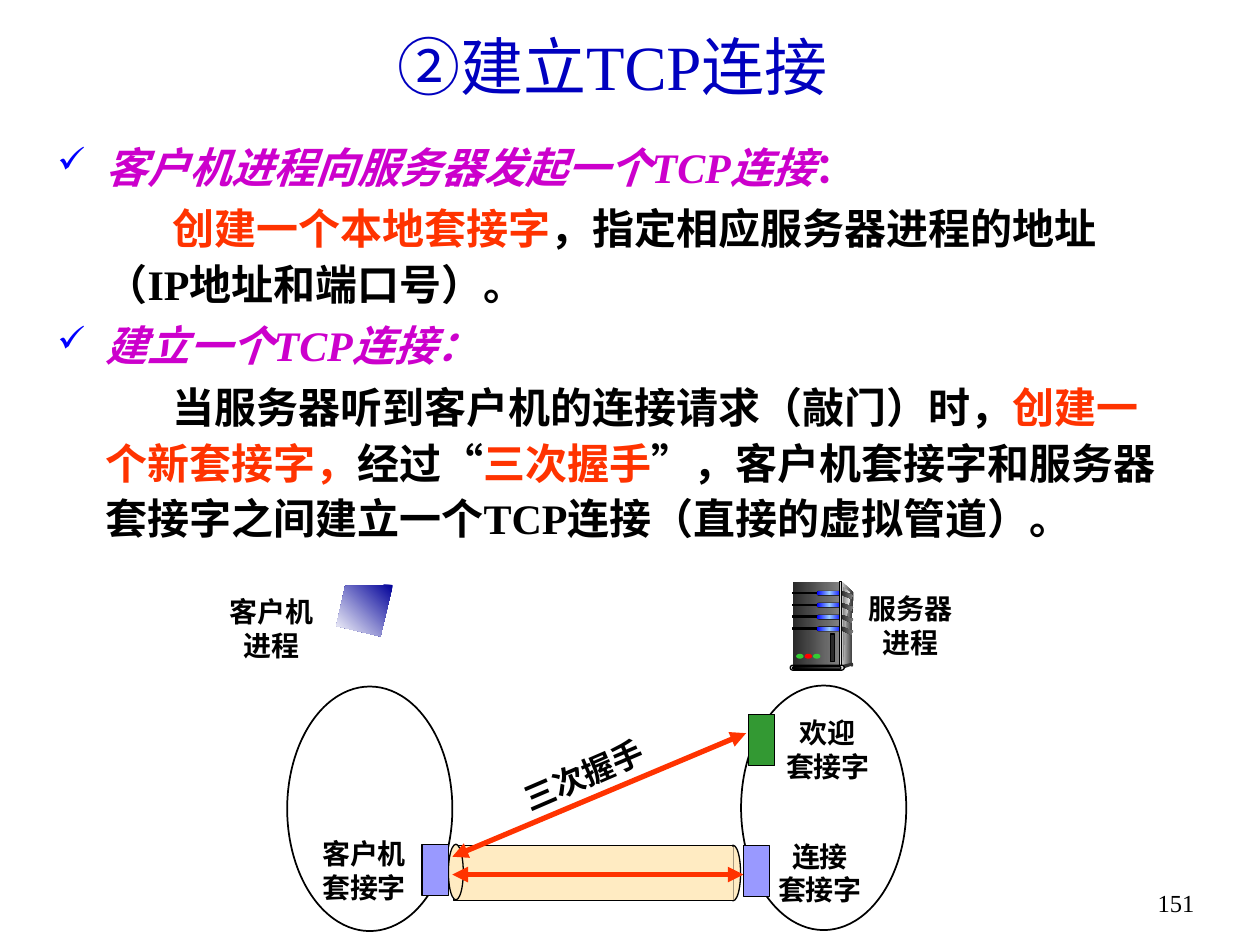
from lxml.etree import SubElement as Sub
from pptx import Presentation
from pptx.dml.color import RGBColor
from pptx.enum.shapes import MSO_CONNECTOR as Link, MSO_SHAPE as Kind
from pptx.enum.text import MSO_ANCHOR as Anchor, PP_ALIGN as Align
from pptx.oxml.ns import qn
from pptx.util import Cm, Pt

SANS = "Noto Sans CJK SC"
SERIF = "Times New Roman"
BLACK, ORANGE, PINK = "000000", "FF3300", "CC00CC"
GLOW = ("0000FF", "99CCFF", "0000FF")
STEEL = ("292929", "808080")


def tint(code):
    return RGBColor.from_string(code)


class Pen:
    def __init__(self, slide):
        self.slide = slide
        self.shapes = slide.shapes

    def paint(self, shape, fill, line, angle=0):
        shape.shadow.inherit = False
        if fill is None:
            shape.fill.background()
        elif isinstance(fill, str):
            shape.fill.solid()
            shape.fill.fore_color.rgb = tint(fill)
        else:
            self.blend(shape.fill, fill, angle)
        if line:
            shape.line.color.rgb = tint(BLACK)
            shape.line.width = Pt(line)
        else:
            shape.line.fill.background()

    def blend(self, fill, codes, angle):
        fill.gradient()
        fill.gradient_angle = angle
        stops = fill._xPr.find(qn("a:gradFill")).find(qn("a:gsLst"))
        for old in list(stops):
            stops.remove(old)
        for i, code in enumerate(codes):
            stop = Sub(stops, qn("a:gs"), pos=str(100000 * i // (len(codes) - 1)))
            Sub(stop, qn("a:srgbClr"), val=code)

    def shape(self, kind, x, y, w, h, fill=None, line=0):
        item = self.shapes.add_shape(kind, Cm(x), Cm(y), Cm(w), Cm(h))
        if kind == Kind.ROUNDED_RECTANGLE:
            item.adjustments[0] = 0.5
        self.paint(item, fill, line)

    def rect(self, *args):
        self.shape(Kind.RECTANGLE, *args)

    def oval(self, *args):
        self.shape(Kind.OVAL, *args)

    def pill(self, *args):
        self.shape(Kind.ROUNDED_RECTANGLE, *args)

    def outline(self, points, fill, angle=0):
        spots = [(Cm(x), Cm(y)) for x, y in points]
        maker = self.shapes.build_freeform(*spots[0])
        maker.add_line_segments(spots[1:], close=True)
        self.paint(maker.convert_to_shape(), fill, 0, angle)

    def arrow(self, x1, y1, x2, y2):
        item = self.shapes.add_connector(Link.STRAIGHT, Cm(x1), Cm(y1), Cm(x2), Cm(y2))
        item.line.color.rgb = tint(ORANGE)
        item.line.width = Pt(3)
        props = item._element.spPr
        for end in ("a:headEnd", "a:tailEnd"):
            Sub(props.find(qn("a:ln")), qn(end), type="triangle")
        Sub(props, qn("a:effectLst"))

    def box(self, x, y, w, h):
        item = self.shapes.add_textbox(Cm(x), Cm(y), Cm(w), Cm(h))
        item.text_frame.word_wrap = True
        return item

    def style(self, para, face, size, color=None, bold=False):
        font = para.font
        font.name, font.size, font.bold = face, Pt(size), bold
        if color:
            font.color.rgb = tint(color)
        Sub(para._p.pPr.find(qn("a:defRPr")), qn("a:ea"), typeface=SANS)

    def text(self, x, y, w, h, lines, face=SANS, size=16, color=BLACK,
             bold=True, align=Align.CENTER, anchor=Anchor.TOP, turn=0):
        item = self.box(x, y, w, h)
        item.rotation = turn
        frame = item.text_frame
        frame.vertical_anchor = anchor
        frame.text = lines
        for para in frame.paragraphs:
            para.alignment = align
            self.style(para, face, size, color, bold)

    def label(self, x, y, lines):
        self.text(x, y, 2.74, 1.63, lines)

    def body(self, x, y, w, h, paras):
        frame = self.box(x, y, w, h).text_frame
        for i, (mark, runs) in enumerate(paras):
            para = frame.add_paragraph() if i else frame.paragraphs[0]
            para.line_spacing = 1.1
            if i:
                para.space_before = Pt(3.6)
            props = para._p.get_or_add_pPr()
            props.set("marL", str(Cm(0.97)))
            props.set("indent", str(Cm(-0.97 if mark else 1.35)))
            if mark:
                Sub(Sub(props, qn("a:buClr")), qn("a:srgbClr"), val="0000FF")
                Sub(props, qn("a:buSzPct"), val="85000")
                Sub(props, qn("a:buChar"), char=mark)
            self.style(para, SERIF, 24, bold=True)
            for words, color, slant in runs:
                run = para.add_run()
                run.text = words
                run.font.color.rgb = tint(color)
                run.font.italic = slant


def tower(pen):
    pen.outline([(16.97, 11.73), (17.2, 11.94), (17.17, 13.36), (16.94, 13.44)],
                ("DDDDDD", "333333"))
    pen.rect(15.98, 11.73, 0.94, 1.7, STEEL)
    pen.outline([(16.99, 11.84), (17.15, 11.96), (17.06, 12.45), (17.02, 12.92),
                 (16.99, 13.39)], ("808080", "F8F8F8"))
    for i in range(4):
        y = 11.91 + 0.24 * i
        pen.rect(15.98, y + 0.03, 0.53, 0.03, BLACK, 0.75)
        pen.pill(16.46, y, 0.53, 0.1, BLACK)
        pen.pill(16.47, y + 0.01, 0.5, 0.08, GLOW)
        pen.outline([(16.96, y), (17.2, y + 0.09), (17.18, y + 0.17),
                     (16.96, y + 0.08)], STEEL)
    pen.rect(16.92, 11.73, 0.05, 1.7, ("333333", "DDDDDD", "333333"), 0.75)
    pen.oval(17.15, 13.36, 0.05, 0.08, "333333")
    pen.outline([(16.97, 13.41), (16.97, 13.49), (17.2, 13.41), (17.17, 13.36)], "333333")
    pen.pill(15.93, 13.41, 1.09, 0.1, "DDDDDD", 0.75)
    pen.pill(15.98, 13.44, 0.97, 0.05, (BLACK, "808080"), 0.75)
    for i, color in enumerate(("33CC33", "FF0000", "33CC33")):
        pen.oval(16.05 + 0.17 * i, 13.18, 0.15, 0.1, color)
    pen.rect(16.74, 12.78, 0.08, 0.56, "292929", 0.75)


def pipe(pen):
    cream = "FFEBC2"
    pen.oval(14.63, 17.04, 0.3, 1.12, cream, 0.75)
    pen.rect(9.14, 17.04, 5.64, 1.12, cream, 0.75)
    pen.oval(9.04, 17.02, 0.3, 1.12, cream, 0.75)
    pen.rect(14.61, 17.07, 0.18, 1.07, cream)


def main():
    deck = Presentation()
    deck.slide_width, deck.slide_height = Cm(25.4), Cm(19.05)
    pen = Pen(deck.slides.add_slide(deck.slide_layouts[6]))

    pipe(pen)
    pen.text(23.06, 17.78, 1.27, 1.27, "151", SERIF, 14, bold=False, align=Align.RIGHT)
    pen.text(1.55, 0.28, 21.59, 2.08, "②建立TCP连接", SERIF, 36, "0000BF",
             bold=False, anchor=Anchor.MIDDLE)
    pen.body(0.91, 2.62, 22.66, 10.46, [
        ("✓", [("客户机进程向服务器发起一个TCP连接", PINK, True), ("：", PINK, False)]),
        ("", [("创建一个本地套接字", ORANGE, False),
              ("，指定相应服务器进程的地址（IP地址和端口号）。", BLACK, False)]),
        ("✓", [("建立一个TCP连接：", PINK, True)]),
        ("", [("当服务器听到客户机的连接请求（敲门）时，", BLACK, False),
              ("创建一个新套接字，", ORANGE, False),
              ("经过“", BLACK, False),
              ("三次握手", ORANGE, False),
              ("”，客户机套接字和服务器套接字之间建立一个TCP连接（直接的虚拟管道）。",
               BLACK, False)]),
    ])
    pen.arrow(9.12, 17.27, 15.04, 14.78)
    pen.arrow(9.12, 17.63, 14.99, 17.63)
    pen.outline([(7.92, 11.79), (6.96, 11.81), (6.78, 12.62), (7.67, 12.83)],
                ("000099", "FFFFFF"), 225)
    tower(pen)

    for x, y in ((5.79, 13.84), (14.94, 13.82)):
        pen.oval(x, y, 3.33, 4.93, None, 1)
    for x, y, color in ((8.51, 17.02, "9999FF"), (14.99, 17.04, "9999FF"),
                        (15.09, 14.4, "339933")):
        pen.rect(x, y, 0.53, 1.04, color, 0.75)
    for x, y, words in ((4.11, 11.86, "客户机进程"), (5.97, 16.74, "客户机套接字"),
                        (16.99, 11.81, "服务器进程"), (15.16, 16.79, "连接\n套接字"),
                        (15.32, 14.3, "欢迎\n套接字")):
        pen.label(x, y, words)
    pen.text(10.06, 15.11, 3.4, 1.02, "三次握手", size=18, turn=336.7)
    deck.save("out.pptx")


if __name__ == "__main__":
    main()
